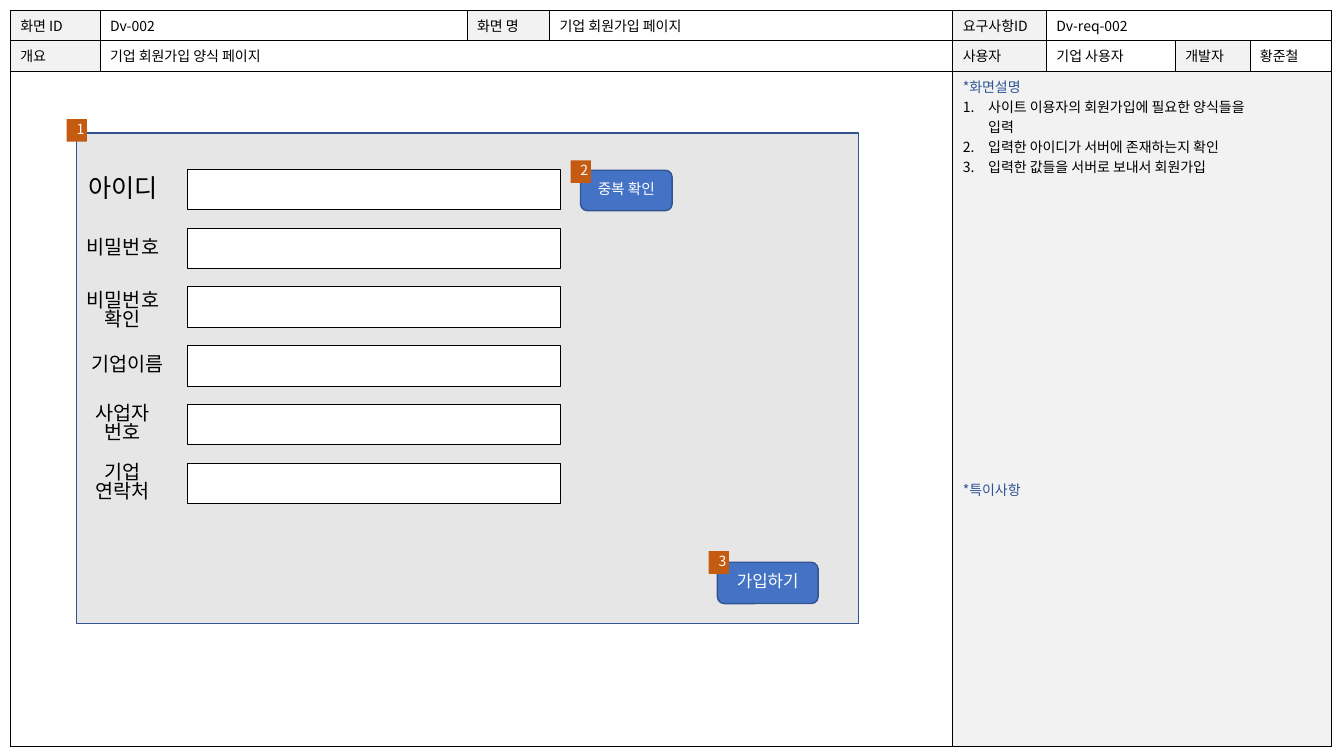
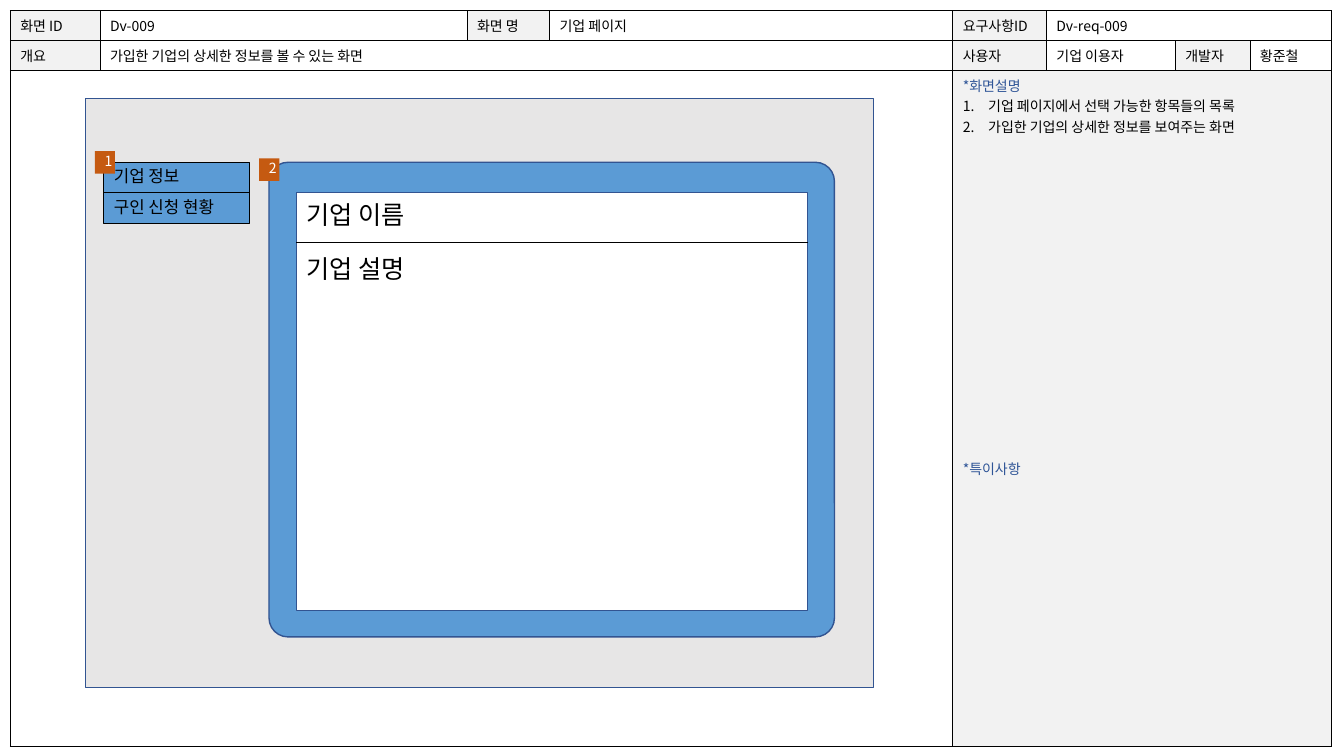
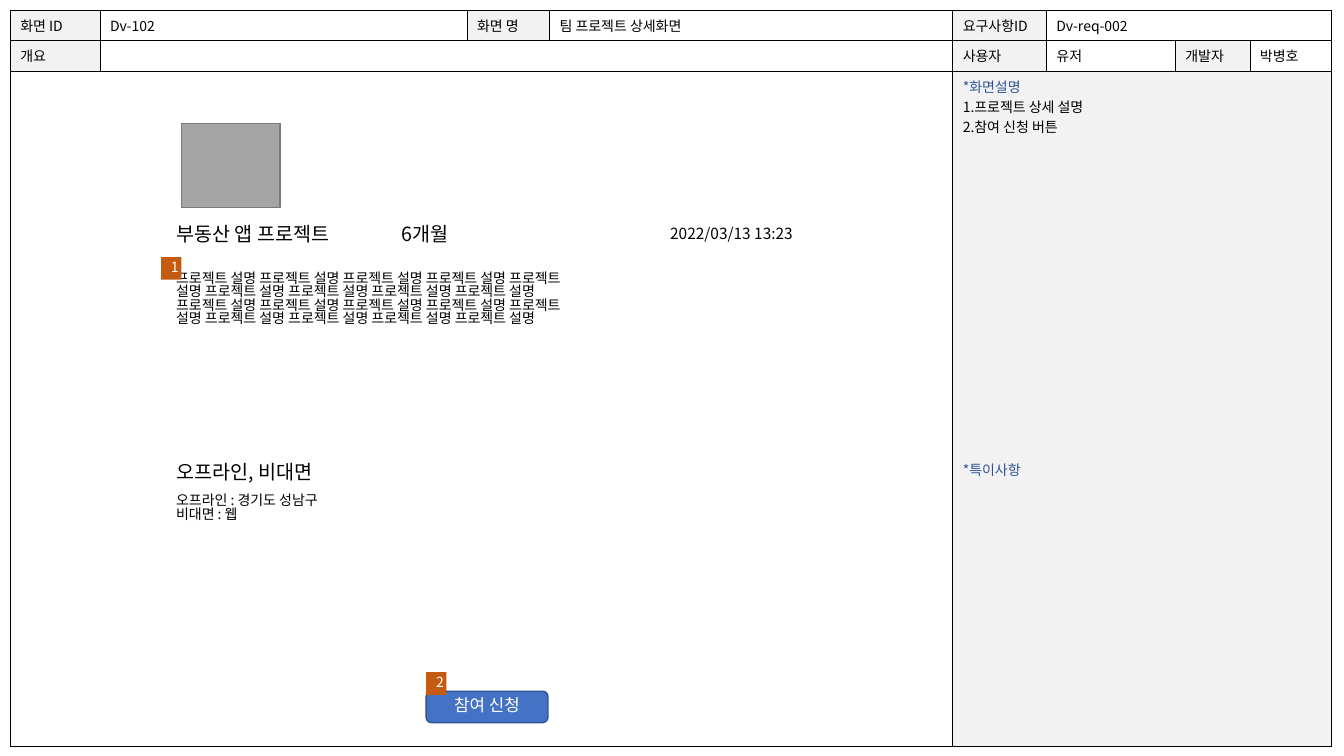
from lxml import etree
from pptx import Presentation
from pptx.dml.color import RGBColor
from pptx.enum.shapes import MSO_CONNECTOR, MSO_SHAPE
from pptx.enum.text import MSO_ANCHOR, PP_ALIGN
from pptx.oxml.ns import qn
from pptx.util import Cm, Pt

RECT, ROUNDED = MSO_SHAPE.RECTANGLE, MSO_SHAPE.ROUNDED_RECTANGLE
STRAIGHT = MSO_CONNECTOR.STRAIGHT
LEFT, CENTER = PP_ALIGN.LEFT, PP_ALIGN.CENTER
TOP, MIDDLE = MSO_ANCHOR.TOP, MSO_ANCHOR.MIDDLE

FONT = "Noto Sans CJK KR"
BLACK, WHITE, HEADER_GREY = "000000", "FFFFFF", "F2F2F2"
HEADING_BLUE, EDGE_BLUE, SKY = "2F5597", "325491", "5B9BD5"
TIGHT = 0.81  # line spacing inside shapes
NOTE_LINE = 14.4  # height in points of one line of the notes

# Screen sheet, lengths in cm
COLUMNS = [2.26, 9.25, 2.08, 10.16, 2.36, 3.25, 1.88, 2.06]
ROWS = [0.76, 0.76, 17.02]
MERGES = [((0, 5), (0, 7)), ((1, 1), (1, 3)), ((2, 0), (2, 3)), ((2, 4), (2, 7))]
HEADERS = {(0, 0): "화면 ID", (0, 2): "화면 명", (0, 4): "요구사항ID",
           (1, 0): "개요", (1, 4): "사용자", (1, 6): "개발자"}
VALUES = {"id": (0, 1), "name": (0, 3), "request": (0, 5),
          "summary": (1, 1), "user": (1, 5), "developer": (1, 7)}
NOTES = (2, 4)

STYLES = {
    "panel": dict(kind=RECT, fill="E7E6E6", line=EDGE_BLUE),
    "field": dict(kind=RECT, fill=WHITE, line=BLACK, weight=0.75),
    "label": dict(align=CENTER, anchor=MIDDLE, size=14, inset=0),
    "button": dict(kind=ROUNDED, fill="4472C4", line=EDGE_BLUE, color=WHITE,
                   align=CENTER, anchor=MIDDLE, size=12),
    "badge": dict(kind=RECT, fill="C55A11", color=WHITE, align=CENTER,
                  anchor=MIDDLE, size=10),
    "menu": dict(kind=RECT, fill=SKY, line=BLACK, weight=0.75, anchor=MIDDLE, size=12),
    "frame": dict(kind=ROUNDED, fill=SKY, line=EDGE_BLUE, corner=0.04),
    "page": dict(kind=RECT, fill=WHITE, line=EDGE_BLUE, size=18, gap=21, top=0.32),
    "thumbnail": dict(kind=RECT, fill="A5A5A5", line="7A7A7A"),
    "heading": dict(size=14),
    "date": dict(size=11),
    "body": dict(size=10),
}

# Sign-up form: label, font size, shift right and down in cm
FORM = [("아이디", 18, 0, 0), ("비밀번호", 14, 0, 0), ("비밀번호\n확인", 14, 0, 0.11),
        ("기업이름", 14, 0.12, 0), ("사업자\n번호", 14, 0, 0), ("기업\n연락처", 14, 0, 0)]
FORM_TOP, FORM_PITCH, FIELD_HEIGHT = 4.27, 1.48, 1.02
LABEL_LEFT, LABEL_WIDTH, LABEL_HEIGHT = 1.98, 2.24, 1.45
FIELD_LEFT, FIELD_WIDTH = 4.72, 9.4

MENU = ["기업 정보", "구인 신청 현황"]
MENU_LEFT, MENU_TOP, MENU_WIDTH, MENU_HEIGHT = 2.62, 4.09, 3.68, 0.77

BADGE_WIDTH, BADGE_HEIGHT = 0.51, 0.57

form_parts = [("panel", (1.93, 3.35, 19.71, 12.37), [])]
for row, (label, size, right, down) in enumerate(FORM):
    top = FORM_TOP + row * FORM_PITCH
    label_top = top + (FIELD_HEIGHT - LABEL_HEIGHT) / 2 + down
    form_parts += [
        ("field", (FIELD_LEFT, top, FIELD_WIDTH, FIELD_HEIGHT), []),
        ("label", (LABEL_LEFT + right, label_top, LABEL_WIDTH, LABEL_HEIGHT),
         [label], {"size": size}),
    ]
form_parts += [
    ("button", (14.63, 4.29, 2.31, 1.02), ["중복 확인"], {"size": 10.5}),
    ("button", (18.08, 14.17, 2.54, 1.04), ["가입하기"]),
]

company_parts = [("panel", (2.16, 2.49, 19.86, 14.83), [])]
company_parts += [
    ("menu", (MENU_LEFT, MENU_TOP + i * MENU_HEIGHT, MENU_WIDTH, MENU_HEIGHT), [item])
    for i, item in enumerate(MENU)]
company_parts += [
    ("frame", (6.78, 4.09, 14.25, 11.96), []),
    ("page", (7.47, 4.85, 12.88, 10.54), ["기업 이름", "기업 설명"]),
]

project_parts = [
    ("button", (10.74, 17.42, 3.07, 0.79), ["참여 신청"]),
    ("thumbnail", (4.57, 3.12, 2.49, 2.11), []),
    ("heading", (4.19, 5.56, 4.85, 0.86), ["부동산 앱 프로젝트"]),
    ("heading", (9.86, 5.56, 1.7, 0.86), ["6개월"]),
    ("date", (16.64, 5.61, 4, 0.74), ["2022/03/13 13:23"]),
    ("body", (4.19, 6.73, 10.67, 2.39), [" ".join(["프로젝트 설명"] * 18)]),
    ("heading", (4.19, 11.58, 4.5, 0.86), ["오프라인, 비대면"]),
    ("body", (4.19, 12.34, 10.67, 1.12), ["오프라인 : 경기도 성남구", "비대면 : 웹"]),
]

SCREENS = [
    dict(values=dict(id="Dv-002", name="기업 회원가입 페이지", request="Dv-req-002",
                     summary="기업 회원가입 양식 페이지", user="기업 사용자",
                     developer="황준철"),
         notes=["사이트 이용자의 회원가입에 필요한 양식들을\n입력",
                "입력한 아이디가 서버에 존재하는지 확인",
                "입력한 값들을 서버로 보내서 회원가입"],
         numbered=True, parts=form_parts, rules=[],
         badges=[(1.68, 3), (14.38, 4.04), (17.86, 13.89)]),
    dict(values=dict(id="Dv-009", name="기업 페이지", request="Dv-req-009",
                     summary="가입한 기업의 상세한 정보를 볼 수 있는 화면",
                     user="기업 이용자", developer="황준철"),
         notes=["기업 페이지에서 선택 가능한 항목들의 목록",
                "가입한 기업의 상세한 정보를 보여주는 화면"],
         numbered=True, parts=company_parts, rules=[(7.47, 6.1, 20.36, 6.1)],
         badges=[(2.39, 3.81), (6.53, 3.99)]),
    dict(values=dict(id="Dv-102", name="팀 프로젝트 상세화면", request="Dv-req-002",
                     user="유저", developer="박병호"),
         notes=["1.프로젝트 상세 설명", "2.참여 신청 버튼"],
         numbered=False, parts=project_parts, rules=[],
         badges=[(4.06, 6.48), (10.74, 16.94)]),
]


def rgb(value):
    return RGBColor.from_string(value)


def write(frame, lines, size=10, color=BLACK, **paragraph_format):
    """Fill a text frame, one paragraph a line, and return the paragraphs."""
    for i, line in enumerate(lines):
        paragraph = frame.paragraphs[0] if i == 0 else frame.add_paragraph()
        paragraph.text = line
        for name, value in paragraph_format.items():
            setattr(paragraph, name, value)
        for line_break in paragraph._p.findall(qn("a:br")):
            etree.SubElement(line_break, qn("a:rPr"), sz=str(int(size * 100)))
        for run in paragraph.runs:
            for name, value in dict(size=Pt(size), name=FONT).items():
                setattr(run.font, name, value)
            run.font.color.rgb = rgb(color)
            etree.SubElement(run.font._element, qn("a:ea"), typeface=FONT)
    return frame.paragraphs


def format_cell(cell, fill):
    properties = cell._tc.get_or_add_tcPr()
    for side in ("L", "R", "T", "B"):
        border = etree.SubElement(properties, qn(f"a:ln{side}"), w=str(Pt(0.5)))
        paint = etree.SubElement(border, qn("a:solidFill"))
        etree.SubElement(paint, qn("a:srgbClr"), val=BLACK)
    cell.fill.solid()
    cell.fill.fore_color.rgb = rgb(fill)


def write_notes(frame, notes, numbered):
    paragraphs = write(frame, ["*화면설명", *notes, "*특이사항"])
    for heading in (paragraphs[0], paragraphs[-1]):
        heading.runs[0].font.color.rgb = rgb(HEADING_BLUE)
    paragraphs[-1].space_before = Pt(NOTE_LINE * (18 - len(notes)))
    if numbered:
        for paragraph in paragraphs[1:-1]:
            properties = paragraph._p.get_or_add_pPr()
            properties.set("marL", str(Cm(0.64)))
            properties.set("indent", str(-Cm(0.64)))
            etree.SubElement(properties, qn("a:buFont"), typeface=FONT)
            etree.SubElement(properties, qn("a:buAutoNum"), type="arabicPeriod")


def add_sheet(slide, screen):
    sheet = slide.shapes.add_table(len(ROWS), len(COLUMNS), Cm(0.26), Cm(0.26),
                                   Cm(sum(COLUMNS)), Cm(sum(ROWS))).table
    sheet.first_row = sheet.horz_banding = False
    for column, width in zip(sheet.columns, COLUMNS):
        column.width = Cm(width)
    for row, height in zip(sheet.rows, ROWS):
        row.height = Cm(height)
    texts = HEADERS | {VALUES[key]: text for key, text in screen["values"].items()}
    for r in range(len(ROWS)):
        for c in range(len(COLUMNS)):
            cell = sheet.cell(r, c)
            shaded = (r, c) in HEADERS or (r == NOTES[0] and c >= NOTES[1])
            format_cell(cell, HEADER_GREY if shaded else WHITE)
            if (r, c) in texts:
                write(cell.text_frame, [texts[r, c]])
                cell.vertical_anchor = MIDDLE
            elif (r, c) != NOTES:
                etree.SubElement(cell.text_frame.paragraphs[0]._p,
                                 qn("a:endParaRPr"), sz="1000")
    for first, last in MERGES:
        sheet.cell(*first).merge(sheet.cell(*last))
    write_notes(sheet.cell(*NOTES).text_frame, screen["notes"], screen["numbered"])


def add_part(slide, style, at, lines, changes=None):
    look = STYLES[style] | (changes or {})
    place = [Cm(length) for length in at]
    if "kind" in look:
        shape = slide.shapes.add_shape(look["kind"], *place)
        shape.shadow.inherit = False
        shape.fill.solid()
        shape.fill.fore_color.rgb = rgb(look["fill"])
        if "line" in look:
            shape.line.color.rgb = rgb(look["line"])
            shape.line.width = Pt(look.get("weight", 1))
        else:
            shape.line.fill.background()
        if "corner" in look:
            shape.adjustments[0] = look["corner"]
    else:
        shape = slide.shapes.add_textbox(*place)
    if not lines:
        return
    frame = shape.text_frame
    side = Cm(look.get("inset", 0.25))
    frame_format = dict(word_wrap=True, vertical_anchor=look.get("anchor", TOP),
                        margin_left=side, margin_right=side,
                        margin_top=Cm(look.get("top", 0.13)))
    for name, value in frame_format.items():
        setattr(frame, name, value)
    paragraphs = write(frame, lines, look["size"], look.get("color", BLACK),
                       alignment=look.get("align", LEFT), line_spacing=TIGHT)
    for paragraph in paragraphs[1:]:
        paragraph.space_before = Pt(look.get("gap", 0))


def add_rule(slide, ends):
    rule = slide.shapes.add_connector(STRAIGHT, *[Cm(length) for length in ends])
    rule.line.color.rgb = rgb(BLACK)
    rule.line.width = Pt(0.5)
    etree.SubElement(rule._element.spPr, qn("a:effectLst"))


def main():
    deck = Presentation()
    deck.slide_width, deck.slide_height = Cm(33.87), Cm(19.05)
    blank = deck.slide_layouts[6]
    for screen in SCREENS:
        slide = deck.slides.add_slide(blank)
        add_sheet(slide, screen)
        for part in screen["parts"]:
            add_part(slide, *part)
        for ends in screen["rules"]:
            add_rule(slide, ends)
        for number, corner in enumerate(screen["badges"], 1):
            add_part(slide, "badge", (*corner, BADGE_WIDTH, BADGE_HEIGHT), [str(number)])
    deck.save("out.pptx")


if __name__ == "__main__":
    main()
